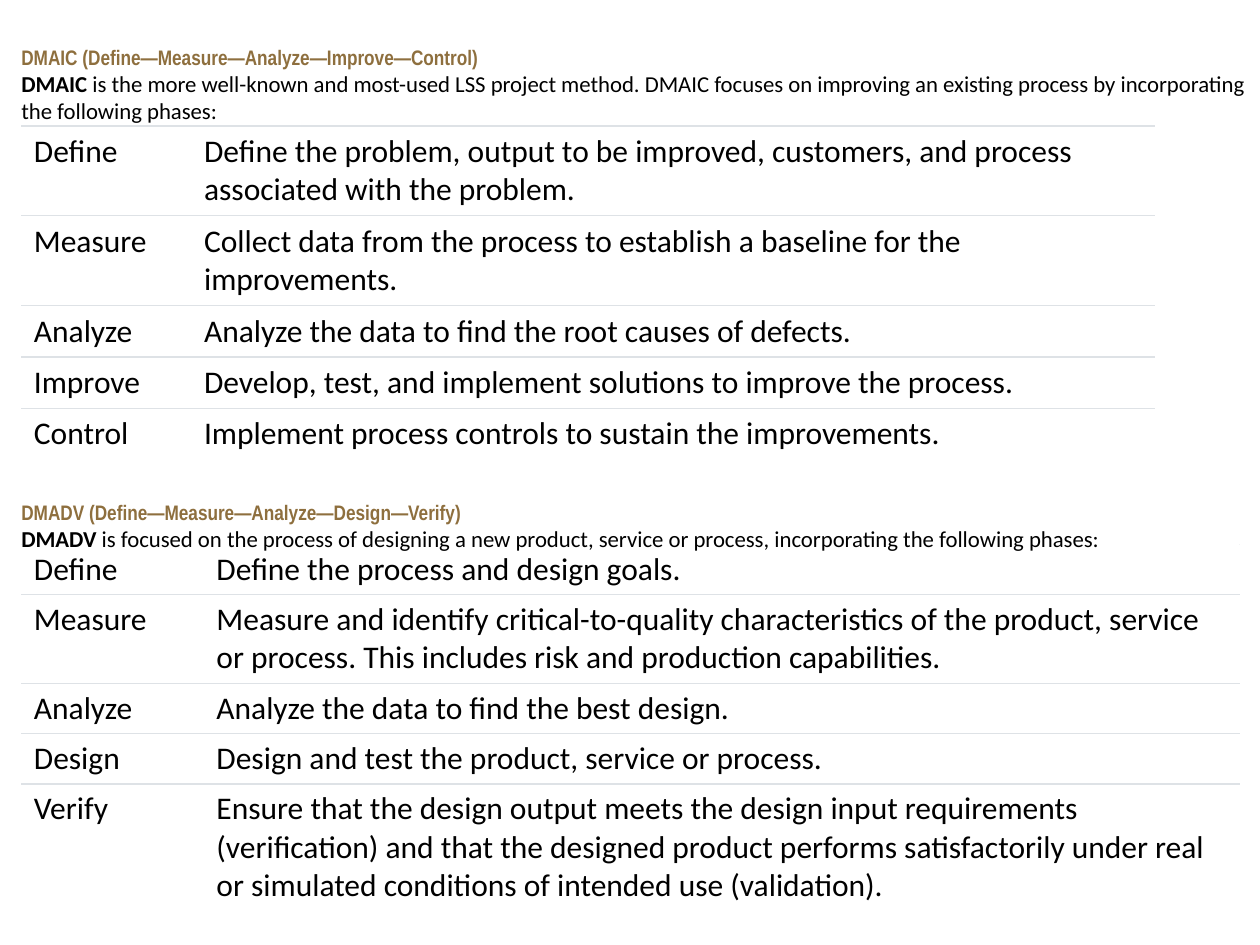
from lxml.etree import SubElement
from pptx import Presentation
from pptx.dml.color import RGBColor
from pptx.enum.shapes import MSO_SHAPE
from pptx.enum.text import MSO_ANCHOR, MSO_AUTO_SIZE, PP_ALIGN
from pptx.oxml.ns import qn
from pptx.util import Cm, Pt

WHITE = RGBColor(0xFF, 0xFF, 0xFF)
BLACK = RGBColor(0x00, 0x00, 0x00)
GOLD = RGBColor(0x8E, 0x6F, 0x3E)
RULE_GREY = RGBColor(0xDE, 0xE2, 0xE6)

LEFT = Cm(0.43)
LINE_HEIGHT = 0.775  # one line of 18 pt table text, in cm

DMAIC_PHASES = [
    ("Define", "Define the problem, output to be improved, customers, and process "
               "associated with the problem.", 2),
    ("Measure", "Collect data from the process to establish a baseline for the "
                "improvements.", 2),
    ("Analyze", "Analyze the data to find the root causes of defects.", 1),
    ("Improve", "Develop, test, and implement solutions to improve the process.", 1),
    ("Control", "Implement process controls to sustain the improvements.", 1),
]
DMADV_PHASES = [
    ("Define", "Define the process and design goals.", 1),
    ("Measure", "Measure and identify critical-to-quality characteristics of the product, "
                "service or process. This includes risk and production capabilities.", 2),
    ("Analyze", "Analyze the data to find the best design.", 1),
    ("Design", "Design and test the product, service or process.", 1),
    ("Verify", "Ensure that the design output meets the design input requirements "
               "(verification) and that the designed product performs satisfactorily "
               "under real or simulated conditions of intended use (validation).", 3),
]


def add_text(paragraph, text, size=18, font="Calibri", color=BLACK, bold=False):
    paragraph.alignment = PP_ALIGN.LEFT
    run = paragraph.add_run()
    run.text = text
    run.font.size = Pt(size)
    run.font.name = font
    run.font.bold = bold
    run.font.color.rgb = color


def set_borders(cell, ruled_sides):
    """Rule the given sides of a cell and leave its other sides without a line."""
    properties = cell._tc.get_or_add_tcPr()
    for side in "LRTB":
        line = SubElement(properties, qn(f"a:ln{side}"), w=str(Pt(0.75)))
        if side in ruled_sides:
            fill = SubElement(line, qn("a:solidFill"))
            SubElement(fill, qn("a:srgbClr"), val=str(RULE_GREY))
        else:
            SubElement(line, qn("a:noFill"))


def add_phase_table(slide, phases, top, column_widths, margin):
    heights = [Cm(lines * LINE_HEIGHT + 2 * margin) for *_, lines in phases]
    widths = [Cm(width) for width in column_widths]
    table = slide.shapes.add_table(len(phases), len(widths), LEFT, Cm(top),
                                   sum(widths), sum(heights)).table
    table.first_row = table.horz_banding = False
    for column, width in zip(table.columns, widths):
        column.width = width
    for index, (phase, description, _) in enumerate(phases):
        table.rows[index].height = heights[index]
        is_last = index == len(phases) - 1
        for cell, text in zip(table.rows[index].cells, (phase, description)):
            cell.margin_top = cell.margin_bottom = Cm(margin)
            set_borders(cell, "T" if is_last else "TB")
            cell.fill.solid()
            cell.fill.fore_color.rgb = WHITE
            add_text(cell.text_frame.paragraphs[0], text)


def add_introduction(slide, heading, method, description, top, width, height):
    shape = slide.shapes.add_shape(MSO_SHAPE.RECTANGLE, LEFT, Cm(top), Cm(width), Cm(height))
    shape.shadow.inherit = False
    shape.fill.solid()
    shape.fill.fore_color.rgb = WHITE
    shape.line.fill.background()
    frame = shape.text_frame
    frame.word_wrap = True
    frame.auto_size = MSO_AUTO_SIZE.SHAPE_TO_FIT_TEXT
    frame.vertical_anchor = MSO_ANCHOR.MIDDLE
    frame.margin_left = frame.margin_right = frame.margin_top = frame.margin_bottom = 0
    add_text(frame.paragraphs[0], heading, size=12, font="Arial Narrow", color=GOLD, bold=True)
    body = frame.add_paragraph()
    add_text(body, method, size=13, bold=True)
    add_text(body, description, size=13)


def main():
    presentation = Presentation()
    presentation.slide_width, presentation.slide_height = Cm(25.4), Cm(19.05)
    slide = presentation.slides.add_slide(presentation.slide_layouts[6])

    add_phase_table(slide, DMAIC_PHASES, top=2.54, column_widths=(3.43, 19.43), margin=0.13)
    add_introduction(
        slide, "DMAIC (Define—Measure—Analyze—Improve—Control)", "DMAIC",
        " is the more well-known and most-used LSS project method. DMAIC focuses on "
        "improving an existing process by incorporating the following phases:",
        top=0.89, width=24.97, height=1.63)

    add_phase_table(slide, DMADV_PHASES, top=10.97, column_widths=(3.68, 20.88), margin=0.12)
    add_introduction(
        slide, "DMADV (Define—Measure—Analyze—Design—Verify)", "DMADV",
        " is focused on the process of designing a new product, service or process, "
        "incorporating the following phases:",
        top=10.06, width=24.56, height=1.07)

    presentation.save("out.pptx")


if __name__ == "__main__":
    main()
